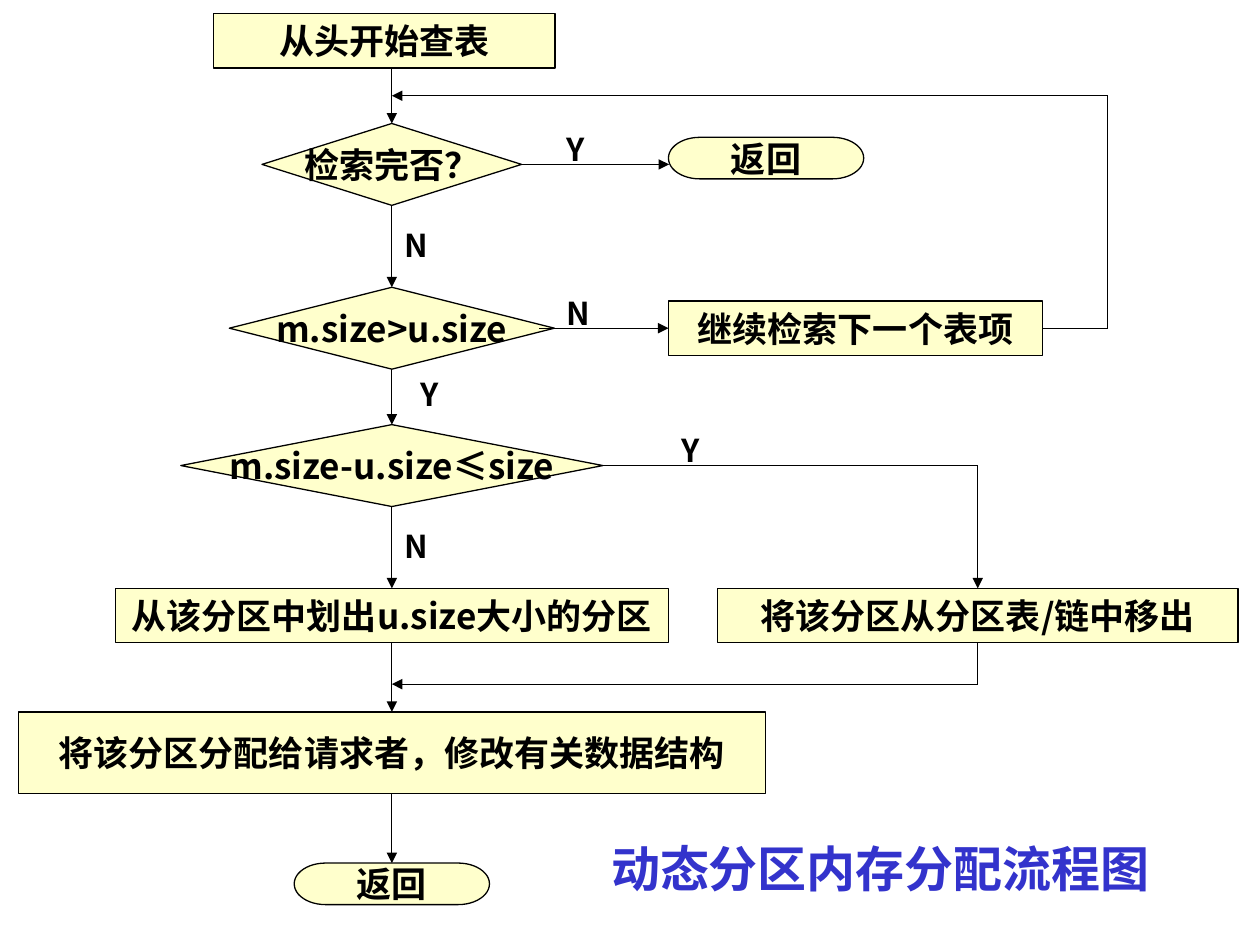
from pptx import Presentation
from pptx.dml.color import RGBColor
from pptx.enum.shapes import MSO_CONNECTOR, MSO_SHAPE
from pptx.enum.text import MSO_ANCHOR, PP_ALIGN
from pptx.oxml.ns import qn
from pptx.util import Inches, Pt
from lxml import etree

PROCESS = MSO_SHAPE.FLOWCHART_PROCESS
DECISION = MSO_SHAPE.FLOWCHART_DECISION
TERMINATOR = MSO_SHAPE.FLOWCHART_TERMINATOR
STRAIGHT = MSO_CONNECTOR.STRAIGHT
CENTER, LEFT = PP_ALIGN.CENTER, PP_ALIGN.LEFT
MIDDLE = MSO_ANCHOR.MIDDLE
TOP_SIDE, LEFT_SIDE, BOTTOM_SIDE, RIGHT_SIDE = range(4)

COLORS = {"fill": "FFFFCC", "ink": "000000", "title": "3333CC"}
CJK = "Noto Sans CJK SC"
TITLE = "动态分区内存分配流程图"

MAIN_X, REMOVE_X, LOOP_X = 3.11, 7.76, 8.79  # vertical flow axes
LOOP_Y, MERGE_Y = 0.76, 5.43                 # where side branches rejoin
HEIGHTS = {PROCESS: 0.43, DECISION: 0.65, TERMINATOR: 0.33}

# name: (text, kind, centre x, top, width, height)
NODES = {
    "start": ("从头开始查表", PROCESS, 3.05, 0.11, 2.71, 0.43),
    "done": ("检索完否？", DECISION, MAIN_X, 0.98, 2.06, 0.65),
    "none": ("返回", TERMINATOR, 6.08, 1.09, 1.55, 0.33),
    "enough": ("m.size>u.size", DECISION, MAIN_X, 2.28, 2.58, 0.65),
    "next": ("继续检索下一个表项", PROCESS, 6.79, 2.39, 2.97, 0.43),
    "fit": ("m.size-u.size≤size", DECISION, MAIN_X, 3.37, 3.35, 0.65),
    "split": ("从该分区中划出u.size大小的分区", PROCESS, MAIN_X, 4.67, 4.39, 0.43),
    "remove": ("将该分区从分区表/链中移出", PROCESS, REMOVE_X, 4.67, 4.13, 0.43),
    "assign": ("将该分区分配给请求者，修改有关数据结构", PROCESS, MAIN_X, 5.65, 5.93, 0.65),
    "end": ("返回", TERMINATOR, MAIN_X, 6.85, 1.55, 0.33),
}


def mid_y(name):
    top, height = NODES[name][3], NODES[name][5]
    return top + height / 2


# An end is either (node name, side) or a point (x, y)
MAIN_FLOW = ["done", "enough", "fit", "split", "assign", "end"]
EDGES = [((a, BOTTOM_SIDE), (b, TOP_SIDE), True)
         for a, b in zip(MAIN_FLOW, MAIN_FLOW[1:])]
EDGES += [
    ((MAIN_X, 0.54), ("done", TOP_SIDE), True),
    (("done", RIGHT_SIDE), (5.31, mid_y("done")), True),
    ((4.28, mid_y("enough")), ("next", LEFT_SIDE), True),
    (("fit", RIGHT_SIDE), (REMOVE_X, mid_y("fit")), False),
    ((REMOVE_X, mid_y("fit")), ("remove", TOP_SIDE), True),
    (("remove", BOTTOM_SIDE), (REMOVE_X, MERGE_Y), False),
    ((REMOVE_X, MERGE_Y), (MAIN_X, MERGE_Y), True),
    (("next", RIGHT_SIDE), (LOOP_X, mid_y("next")), False),
    ((LOOP_X, mid_y("next")), (LOOP_X, LOOP_Y), False),
    ((LOOP_X, LOOP_Y), (MAIN_X, LOOP_Y), True),
]

LABELS = [("Y", 4.4, 0.98), ("Y", 5.31, 3.37), ("Y", 3.24, 2.93),
          ("N", 3.11, 1.74), ("N", 3.11, 4.13), ("N", 4.4, 2.28)]


def rgb(name):
    return RGBColor.from_string(COLORS[name])


def write(s, text, size, color="ink", font=CJK, align=LEFT, wrap=True):
    tf = s.text_frame
    tf.word_wrap = wrap
    tf.vertical_anchor = MIDDLE
    p = tf.paragraphs[0]
    p.alignment = align
    r = p.add_run()
    r.text = text
    r.font.size, r.font.bold, r.font.name = Pt(size), True, font
    r.font.color.rgb = rgb(color)
    etree.SubElement(r.font._element, qn("a:ea")).set("typeface", CJK)


def add_node(slide, text, kind, cx, top, width, height):
    s = slide.shapes.add_shape(kind, Inches(cx - width / 2), Inches(top),
                               Inches(width), Inches(height))
    s.shadow.inherit = False
    s.fill.solid()
    s.fill.fore_color.rgb = rgb("fill")
    s.line.color.rgb = rgb("ink")
    s.line.width = Pt(0.75)
    write(s, text, 20, align=CENTER, wrap=False)
    return s


def add_edge(slide, nodes, start, end, arrow):
    """Draw a line, joining each end that names a node."""
    points = [(0, 0) if e[0] in nodes else e for e in (start, end)]
    c = slide.shapes.add_connector(
        STRAIGHT, *(Inches(v) for point in points for v in point))
    for e, join in ((start, c.begin_connect), (end, c.end_connect)):
        if e[0] in nodes:
            join(nodes[e[0]], e[1])
    c.line.color.rgb = rgb("ink")
    c.line.width = Pt(0.75)
    if arrow:
        etree.SubElement(c.line._get_or_add_ln(), qn("a:tailEnd")).set("type", "triangle")
    etree.SubElement(c._element.spPr, qn("a:effectLst"))


def main():
    prs = Presentation()
    prs.slide_width, prs.slide_height = Inches(10), Inches(7.5)
    slide = prs.slides.add_slide(prs.slide_layouts[5])

    nodes = {name: add_node(slide, *node) for name, node in NODES.items()}
    for edge in EDGES:
        add_edge(slide, nodes, *edge)
    for text, x, y in LABELS:
        s = slide.shapes.add_textbox(Inches(x), Inches(y), Inches(0.65), Inches(0.4))
        write(s, text, 18)

    title = slide.shapes.title
    title.left, title.top = Inches(4.75), Inches(6.6)
    title.width, title.height = Inches(4.94), Inches(0.57)
    write(title, TITLE, 28, "title", "Times New Roman")
    prs.save("out.pptx")


if __name__ == "__main__":
    main()
